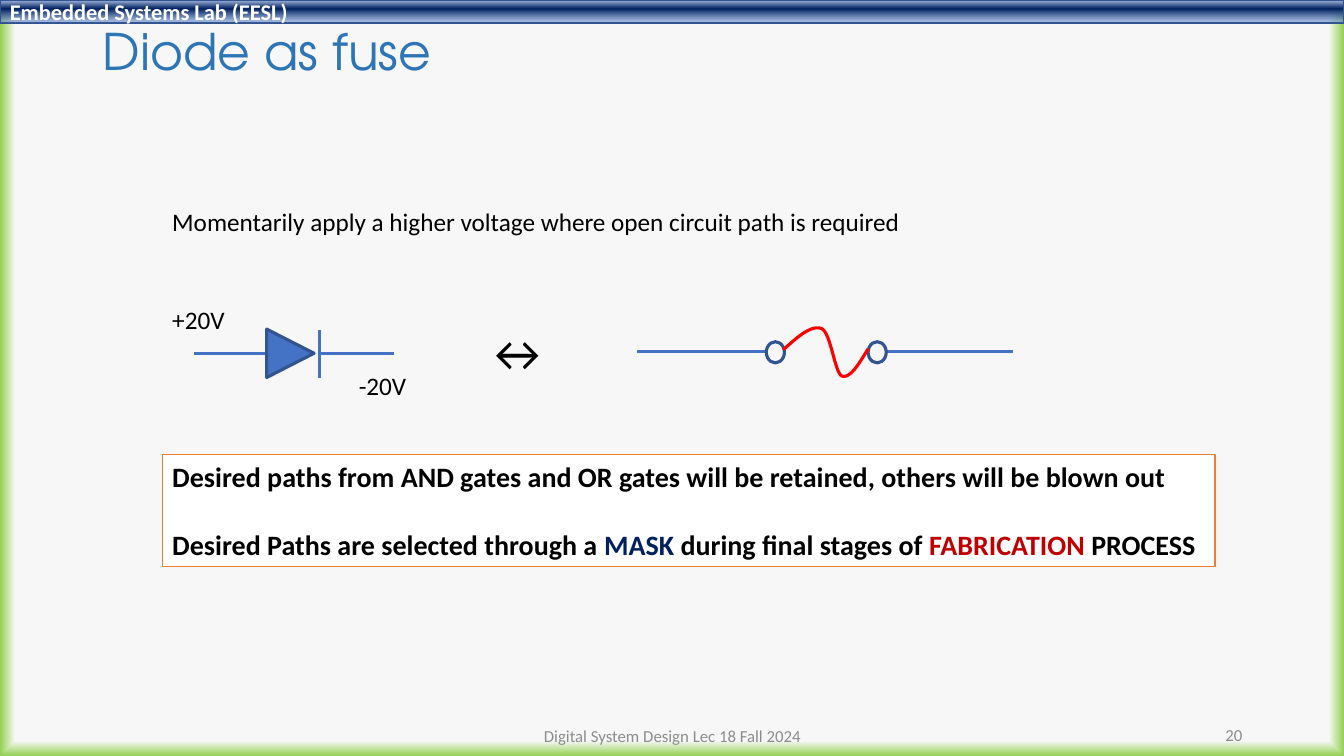
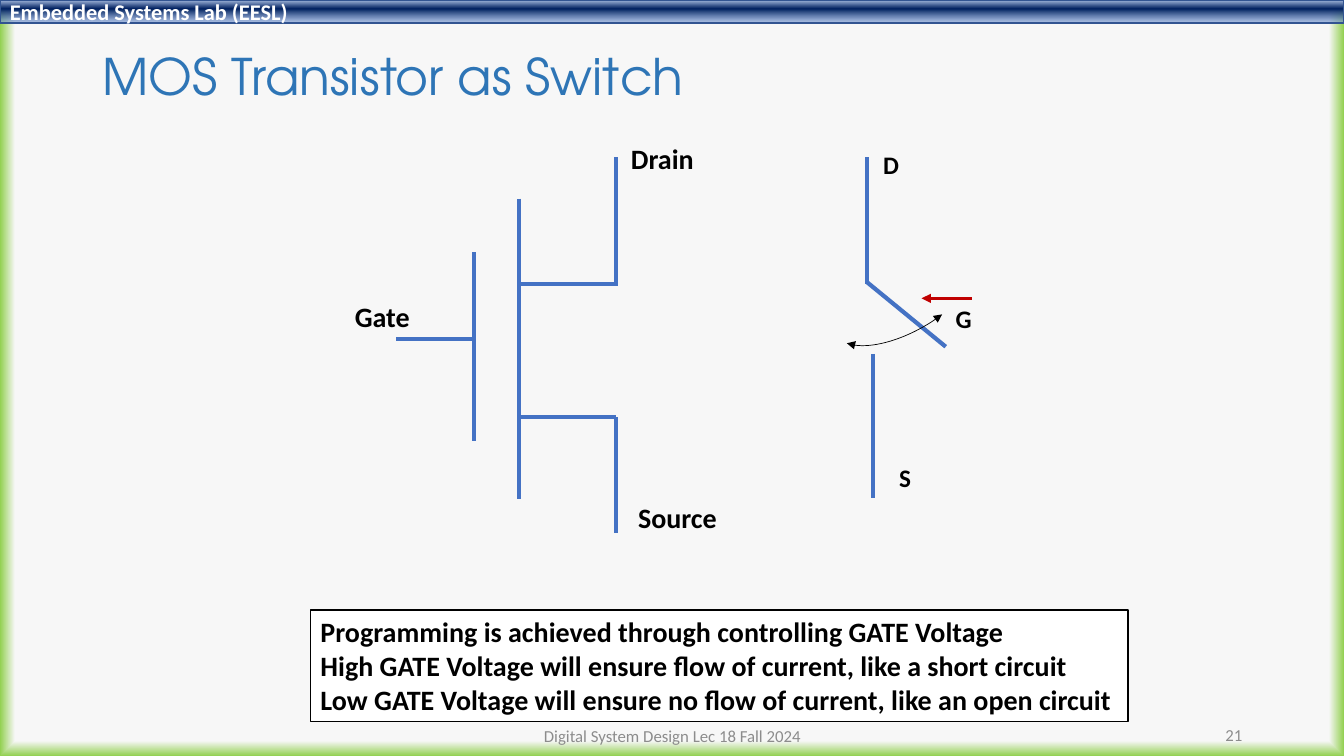
from lxml import etree
from pptx import Presentation
from pptx.dml.color import RGBColor
from pptx.enum import shapes, text
from pptx.oxml import parse_xml
from pptx.oxml.ns import nsdecls, qn
from pptx.util import Inches, Pt

WHITE = RGBColor(0xFF, 0xFF, 0xFF)
BLACK = RGBColor(0x00, 0x00, 0x00)
GREY = RGBColor(0x8C, 0x8C, 0x8C)
TITLE_BLUE = RGBColor(0x2E, 0x75, 0xB6)
BLUE = RGBColor(0x44, 0x72, 0xC4)
OUTLINE_BLUE = RGBColor(0x32, 0x54, 0x91)
NAVY = RGBColor(0x00, 0x20, 0x60)
ORANGE = RGBColor(0xED, 0x7D, 0x31)
RED = RGBColor(0xFF, 0x00, 0x00)
DARK_RED = RGBColor(0xC0, 0x00, 0x00)
PALE = RGBColor(0xF7, 0xF7, 0xF7)
GREEN = RGBColor(0x92, 0xD0, 0x50)
BAND_TOP = RGBColor(0xAB, 0xC0, 0xE4)
BAND_BOTTOM = RGBColor(0x7E, 0x9E, 0xD6)

LEFT, CENTER, RIGHT = text.PP_ALIGN.LEFT, text.PP_ALIGN.CENTER, text.PP_ALIGN.RIGHT
TOP, MIDDLE = text.MSO_ANCHOR.TOP, text.MSO_ANCHOR.MIDDLE


def gradient(stops, direction):
    """Return a gradient fill from (position %, colour, opacity %) stops."""
    marks = "".join(
        f'<a:gs pos="{place * 1000}"><a:srgbClr val="{color}">'
        f'<a:alpha val="{opacity * 1000}"/></a:srgbClr></a:gs>'
        for place, color, opacity in stops)
    return parse_xml(f'<a:gradFill {nsdecls("a")} rotWithShape="1">'
                     f'<a:gsLst>{marks}</a:gsLst>{direction}</a:gradFill>')


def write(box, lines, size, color=BLACK, bold=False, font="Calibri",
          align=LEFT, anchor=TOP, wrap=False, spacing=None, gap=0):
    """Fill a box with lines, each a list of (text, colour) runs or a string."""
    frame = box.text_frame
    frame.word_wrap = wrap
    frame.vertical_anchor = anchor
    for index, line in enumerate(lines):
        para = frame.add_paragraph() if index else frame.paragraphs[0]
        para.alignment = align
        para.line_spacing = spacing
        para.space_before = Pt(gap if index else 0)
        for words, tint in [(line, color)] if isinstance(line, str) else line:
            span = para.add_run()
            span.text = words
            span.font.name = font
            span.font.size = Pt(size)
            span.font.bold = bold
            span.font.color.rgb = tint


deck = Presentation()
deck.slide_width, deck.slide_height = Inches(13.33), Inches(7.5)

# Shared background: pale centre with green edges
master = deck.slide_master
master.background.fill.solid()
backdrop = master.element.find(".//" + qn("p:bgPr"))
backdrop.replace(backdrop[0], gradient(
    [(0, PALE, 100), (96, PALE, 100), (100, GREEN, 100)],
    '<a:path path="rect"><a:fillToRect l="50000" t="50000" r="50000" b="50000"/></a:path>'))

# Shared band, title and footer
pages = []
for number, heading, top in [(20, "Diode as fuse", 0.15),
                             (21, "MOS Transistor as Switch", 0.4)]:
    page = deck.slides.add_slide(deck.slide_layouts[6])
    pages.append(page)
    band = page.shapes.add_shape(shapes.MSO_SHAPE.RECTANGLE, 0, 0, deck.slide_width, Inches(0.23))
    band.shadow.inherit = False
    band.fill.solid()
    band.line.color.rgb = OUTLINE_BLUE
    band.line.width = Pt(1)
    props = band.element.spPr
    props.replace(props.find(qn("a:solidFill")), gradient(
        [(2, BAND_TOP, 100), (38, NAVY, 100), (93, BAND_BOTTOM, 64)],
        '<a:lin ang="5400000" scaled="0"/>'))
    write(band, ["Embedded Systems Lab (EESL)"], 16, WHITE, True, anchor=MIDDLE, wrap=True)

    title = page.shapes.add_textbox(Inches(0.92), Inches(top), Inches(11.5), Inches(0.77))
    write(title, [heading], 36, TITLE_BLUE, font="TeX Gyre Adventor",
          anchor=MIDDLE, wrap=True, spacing=0.9)
    for words, left, y, width, align in [
            (str(number), 9.42, 7.09, 3, RIGHT),
            ("Digital System Design Lec 18 Fall 2024", 4.42, 7.1, 4.5, CENTER)]:
        footer = page.shapes.add_textbox(Inches(left), Inches(y), Inches(width), Inches(0.4))
        write(footer, [words], 12, GREY, align=align, anchor=MIDDLE, wrap=True)

fuse_page, switch_page = pages

# Straight lines: page, x1, y1, x2, y2, width, colour, arrow
lines = [(fuse_page, *ends, 2.25, BLUE, False) for ends in [
    (1.92, 3.51, 2.65, 3.51), (3.17, 3.27, 3.17, 3.75), (3.17, 3.51, 3.91, 3.51),  # diode
    (6.32, 3.49, 7.6, 3.49), (8.79, 3.49, 10.05, 3.49)]]  # fuse leads
lines += [(switch_page, *ends, 3, BLUE, False) for ends in [
    (5.15, 1.97, 5.15, 4.95), (4.7, 2.5, 4.7, 4.38),  # channel and gate plate
    (5.15, 2.82, 6.13, 2.82), (5.13, 4.14, 6.11, 4.14),  # drain and source arms
    (4.7, 3.36, 3.93, 3.36), (6.11, 2.82, 6.11, 1.56), (6.11, 4.14, 6.11, 5.29),  # leads
    (8.6, 1.56, 8.6, 2.82), (8.6, 2.8, 9.38, 3.44), (8.66, 3.51, 8.66, 4.94)]]  # switch
lines.append((switch_page, 9.64, 2.96, 9.14, 2.96, 2.25, DARK_RED, True))
for page, x1, y1, x2, y2, width, color, arrow in lines:
    wire = page.shapes.add_connector(shapes.MSO_CONNECTOR.STRAIGHT,
                                     Inches(x1), Inches(y1), Inches(x2), Inches(y2))
    wire.line.color.rgb = color
    wire.line.width = Pt(width)
    props = wire.element.spPr
    if arrow:
        etree.SubElement(props.find(qn("a:ln")), qn("a:tailEnd"), type="triangle")
    etree.SubElement(props, qn("a:effectLst"))

# Diode body
diode = fuse_page.shapes.add_shape(shapes.MSO_SHAPE.ISOSCELES_TRIANGLE,
                                   Inches(2.64), Inches(3.27), Inches(0.48), Inches(0.47))
diode.rotation = 90
diode.shadow.inherit = False
diode.fill.solid()
diode.fill.fore_color.rgb = BLUE
diode.line.color.rgb = OUTLINE_BLUE
diode.line.width = Pt(2.25)

# Fuse terminals
for left in (7.6, 8.61):
    terminal = fuse_page.shapes.add_shape(shapes.MSO_SHAPE.OVAL, Inches(left), Inches(3.39),
                                          Inches(0.18), Inches(0.21))
    terminal.shadow.inherit = False
    terminal.fill.background()
    terminal.line.color.rgb = OUTLINE_BLUE
    terminal.line.width = Pt(2.25)

# Fuse wire: three Bezier curves drawn in short steps
knots = [(7.77, 3.47), (7.91, 3.34), (8.05, 3.22), (8.15, 3.26), (8.24, 3.3),
         (8.28, 3.7), (8.35, 3.73), (8.43, 3.76), (8.52, 3.61), (8.61, 3.46)]
STEPS = 16
points = []
for first in range(0, len(knots) - 1, 3):
    for step in range(1, STEPS + 1):
        t = step / STEPS
        weights = ((1 - t) ** 3, 3 * t * (1 - t) ** 2, 3 * t * t * (1 - t), t ** 3)
        points.append(tuple(
            Inches(sum(w * knot[axis] for w, knot in zip(weights, knots[first:first + 4])))
            for axis in (0, 1)))
outline = fuse_page.shapes.build_freeform(Inches(knots[0][0]), Inches(knots[0][1]))
outline.add_line_segments(points, close=False)
fuse = outline.convert_to_shape()
fuse.shadow.inherit = False
fuse.fill.background()
fuse.line.color.rgb = RED
fuse.line.width = Pt(2.25)

# Swing of the switch
swing = switch_page.shapes.add_shape(shapes.MSO_SHAPE.ARC, Inches(8.18), Inches(2.55),
                                     Inches(1.59), Inches(0.74))
swing.rotation = 150.2
swing.adjustments[0], swing.adjustments[1] = 142.88, 209.83
swing.shadow.inherit = False
swing.fill.background()
swing.line.color.rgb = BLACK
swing.line.width = Pt(0.5)
for end in ("a:headEnd", "a:tailEnd"):
    etree.SubElement(swing.element.spPr.find(qn("a:ln")), qn(end), type="triangle")

# Labels
for page, words, left, top, width, height, size, bold in [
        (fuse_page, "Momentarily apply a higher voltage where open circuit path is required",
         1.61, 2, 7.5, 0.4, 18, False),
        (fuse_page, "↔", 4.71, 3.14, 0.85, 0.71, 36, False),
        (fuse_page, "+20V", 1.61, 2.97, 0.73, 0.4, 18, False),
        (fuse_page, "-20V", 3.46, 3.62, 0.68, 0.4, 18, False),
        (switch_page, "Drain", 6.16, 1.35, 0.83, 0.44, 20, True),
        (switch_page, "Source", 6.23, 4.92, 0.99, 0.44, 20, True),
        (switch_page, "Gate", 3.42, 2.92, 0.75, 0.44, 20, True),
        (switch_page, "D", 8.66, 1.43, 0.36, 0.4, 18, True),
        (switch_page, "G", 9.38, 2.96, 0.36, 0.4, 18, True),
        (switch_page, "S", 8.82, 4.54, 0.32, 0.4, 18, True)]:
    label = page.shapes.add_textbox(Inches(left), Inches(top), Inches(width), Inches(height))
    write(label, [words], size, bold=bold)

# Framed conclusions
for page, left, top, width, color, gap, sentences in [
        (fuse_page, 1.61, 4.51, 10.44, ORANGE, 24.4, [
            "Desired paths from AND gates and OR gates will be retained, others will be blown out",
            [("Desired Paths are selected through a ", BLACK), ("MASK", NAVY),
             (" during final stages of ", BLACK), ("FABRICATION", DARK_RED),
             (" PROCESS", BLACK)]]),
        (switch_page, 3.08, 6.05, 8.11, BLACK, 0, [
            "Programming is achieved through controlling GATE Voltage",
            "High GATE Voltage will ensure flow of current, like a short circuit",
            "Low GATE Voltage will ensure no flow of current, like an open circuit"])]:
    note = page.shapes.add_shape(shapes.MSO_SHAPE.RECTANGLE, Inches(left), Inches(top),
                                 Inches(width), Inches(1.11))
    note.shadow.inherit = False
    note.fill.solid()
    note.fill.fore_color.rgb = WHITE
    note.line.color.rgb = color
    note.line.width = Pt(1)
    write(note, sentences, 20, bold=True, gap=gap)

deck.save("out.pptx")
